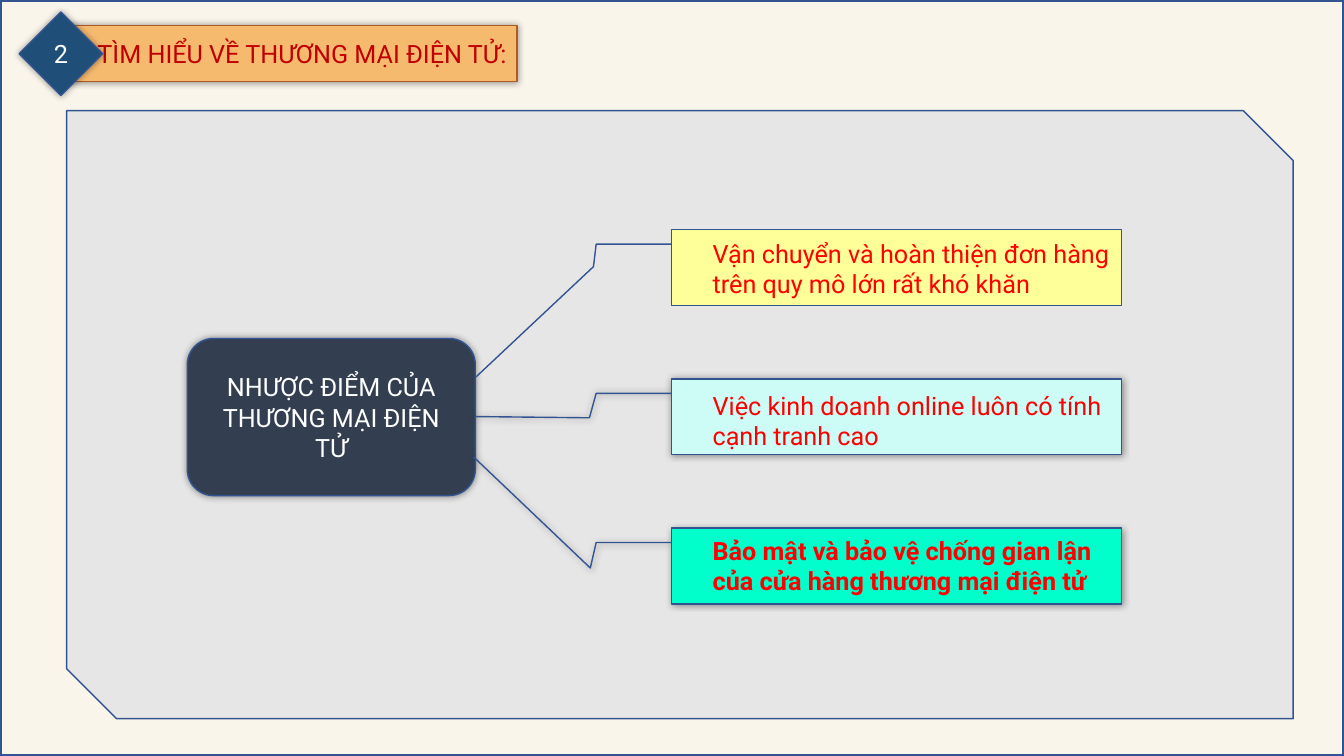
from lxml import etree
from pptx import Presentation
from pptx import util as u
from pptx.dml.color import RGBColor
from pptx.enum import shapes, text
from pptx.oxml import parse_xml
from pptx.oxml.ns import nsdecls, qn

Cm = u.Cm
KIND = shapes.MSO_SHAPE
ALIGN = text.PP_ALIGN
COLORS = {
    "cream": "F9F5EB", "blue": "325491", "orange": "F6BA6F", "brown": "AF5C24",
    "dark red": "C00000", "navy": "1F4E79", "grey": "E6E6E6", "slate": "333F50",
    "white": "FFFFFF", "red": "FF0000", "yellow": "FFFF99", "aqua": "CDFCF6",
    "mint": "00FFCA",
}


def paint(shape, fill, line="blue", width=1, shadow=False):
    """Set fill, outline and an optional soft shadow around the shape."""
    shape.fill.solid()
    shape.fill.fore_color.rgb = RGBColor.from_string(COLORS[fill])
    shape.line.color.rgb = RGBColor.from_string(COLORS[line])
    shape.line.width = u.Pt(width)
    shape.shadow.inherit = False
    if shadow:
        effects = shape._element.spPr.find(qn("a:effectLst"))
        effects.append(parse_xml(
            f'<a:outerShdw {nsdecls("a")} blurRad="63500" dist="0" dir="0">'
            '<a:srgbClr val="000000"><a:alpha val="40000"/></a:srgbClr>'
            '</a:outerShdw>'))


def write(shape, words, color="white", align=ALIGN.CENTER, bold=False,
          anchor=text.MSO_ANCHOR.MIDDLE, fit=text.MSO_AUTO_SIZE.NONE):
    frame = shape.text_frame
    frame.word_wrap = True
    frame.auto_size = fit
    frame.vertical_anchor = anchor
    paragraph = frame.paragraphs[0]
    paragraph.alignment = align
    run = paragraph.add_run()
    run.text = words
    run.font.name = "Roboto"
    run.font.size = u.Pt(18)
    run.font.bold = bold
    run.font.color.rgb = RGBColor.from_string(COLORS[color])


deck = Presentation()
deck.slide_width, deck.slide_height = Cm(33.87), Cm(19.05)
slide = deck.slides.add_slide(deck.slide_layouts[5])
parts = slide.shapes

backdrop = parts.add_shape(KIND.RECTANGLE, 0, 0, deck.slide_width, deck.slide_height)
paint(backdrop, "cream", width=3)

# Heading: the title sits above the backdrop and below the number
heading = parts.title
backdrop._element.addnext(heading._element)
heading.left, heading.top = Cm(1.27), Cm(0.64)
heading.width, heading.height = Cm(11.76), Cm(1.42)
outline = etree.SubElement(heading._element.spPr, qn("a:prstGeom"), prst="roundRect")
etree.SubElement(outline, qn("a:avLst"))
paint(heading, "orange", line="brown", shadow=True)
write(heading, "TÌM HIỂU VỀ THƯƠNG MẠI ĐIỆN TỬ:", color="dark red", align=ALIGN.RIGHT)

number = parts.add_shape(KIND.DIAMOND, Cm(0.48), Cm(0.3), Cm(2.11), Cm(2.11))
paint(number, "navy", shadow=True)
write(number, "2")

panel = parts.add_shape(KIND.SNIP_2_DIAG_RECTANGLE, Cm(1.68), Cm(2.79), Cm(30.91), Cm(15.32))
panel.adjustments[0], panel.adjustments[1] = 0, 0.082
paint(panel, "grey")

topic = parts.add_shape(KIND.ROUNDED_RECTANGLE, Cm(4.72), Cm(8.53), Cm(7.26), Cm(3.96))
paint(topic, "slate", shadow=True)
write(topic, "NHƯỢC ĐIỂM CỦA THƯƠNG MẠI ĐIỆN TỬ")

# Drawbacks: words, fill, shadow, bold, text offset, text width, leader bend and end (y, x)
drawbacks = [
    ("Vận chuyển và hoàn thiện đơn hàng trên quy mô lớn rất khó khăn",
     "yellow", False, False, 0.08, 11.15, (0.487, -0.173, 1.943, -0.434)),
    ("Việc kinh doanh online luôn có tính cạnh tranh cao",
     "aqua", True, False, 0.15, 10.34, (0.513, -0.182, 0.496, -0.437)),
    ("Bảo mật và bảo vệ chống gian lận của cửa hàng thương mại điện tử",
     "mint", True, True, 0.05, 10.59, (0.526, -0.18, -0.939, -0.439)),
]
for row, (words, fill, shadow, bold, offset, width, leader) in enumerate(drawbacks):
    top = 5.79 + 3.76 * row
    group = parts.add_group_shape()
    callout = group.shapes.add_shape(KIND.LINE_CALLOUT_3, Cm(16.92), Cm(top), Cm(11.35), Cm(1.91))
    for index, value in enumerate((0.19, 0, 0.19, -0.167) + leader):
        callout.adjustments[index] = value
    paint(callout, fill, shadow=shadow)
    label = group.shapes.add_textbox(Cm(17.71), Cm(top + offset), Cm(width), Cm(1.8))
    write(label, words, color="red", align=ALIGN.LEFT, bold=bold,
          anchor=text.MSO_ANCHOR.TOP, fit=text.MSO_AUTO_SIZE.SHAPE_TO_FIT_TEXT)

deck.save("out.pptx")
